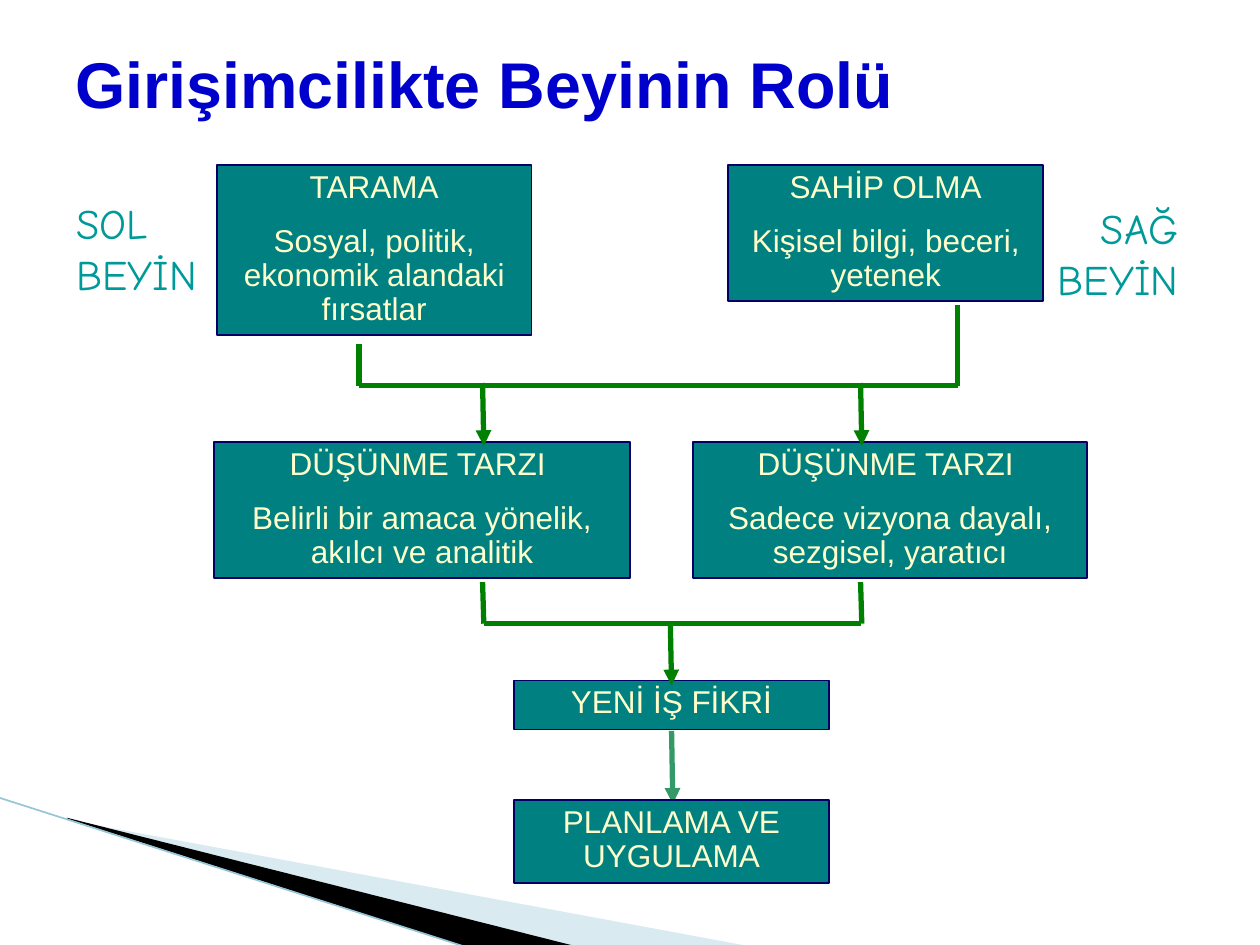
import pptx
import pptx.dml.color
import pptx.enum.shapes
import pptx.enum.text
import pptx.oxml
import pptx.oxml.ns
import pptx.util
from pptx.util import Inches

COLORS = {
    "title": "0000CC", "box": "008080", "box_edge": "000066",
    "box_text": "FFFFCC", "side": "009999", "flow": "008000",
    "plan_flow": "339966", "pale_wave": "A0CBDC", "dark_wave": "000000",
    "wave_edge": "97C5D8",
}
ALIGN = pptx.enum.text.PP_ALIGN

BOXES = [
    (1.72, 1.31, 2.5, 1.35, ["TARAMA", "Sosyal, politik, ekonomik alandaki fırsatlar"]),
    (5.78, 1.31, 2.5, 1.08, ["SAHİP OLMA", "Kişisel bilgi, beceri, yetenek"]),
    (1.7, 3.51, 3.3, 1.08, ["DÜŞÜNME TARZI ", "Belirli bir amaca yönelik, akılcı ve analitik"]),
    (5.5, 3.51, 3.13, 1.08, ["DÜŞÜNME TARZI ", "Sadece vizyona dayalı, sezgisel, yaratıcı"]),
    (4.08, 5.4, 2.5, 0.39, ["YENİ İŞ FİKRİ"]),
    (4.08, 6.35, 2.5, 0.66, ["PLANLAMA VE UYGULAMA"]),
]
BRANCHES = [
    ((2.85, 2.73), (2.85, 3.06)),
    ((7.6, 2.42), (7.6, 3.06)),
    ((2.85, 3.06), (7.6, 3.06)),
    ((3.83, 4.62), (3.84, 4.95)),
    ((6.83, 4.62), (6.84, 4.95)),
    ((3.84, 4.95), (6.83, 4.95)),
]
ARROWS = [
    ((3.83, 3.04), (3.84, 3.54)),
    ((6.83, 3.04), (6.84, 3.54)),
    ((5.32, 4.93), (5.33, 5.44)),
]


def rgb(name):
    return pptx.dml.color.RGBColor.from_string(COLORS[name])


def sub(parent, tag, **attributes):
    child = pptx.oxml.ns.qn(tag)
    element = parent.makeelement(child, attributes)
    parent.append(element)


def write(shape, paragraphs, font, paragraph_format):
    """Fill a shape with paragraphs that share one font and paragraph format."""
    frame = shape.text_frame
    frame.word_wrap = True
    frame.vertical_anchor = pptx.enum.text.MSO_ANCHOR.TOP
    frame.text = "\n".join(paragraphs)
    for paragraph in frame.paragraphs:
        for key, value in paragraph_format.items():
            setattr(paragraph, key, value)
        run_font = paragraph.runs[0].font
        run_font.color.rgb = rgb(font["color"])
        for key in ("name", "size", "bold"):
            setattr(run_font, key, font.get(key))


def add_label(slide, left, top, width, height, text, font, **paragraph_format):
    label = slide.shapes.add_textbox(*map(Inches, (left, top, width, height)))
    write(label, [text], font, paragraph_format)


def add_box(slide, left, top, width, height, paragraphs):
    box = slide.shapes.add_shape(
        pptx.enum.shapes.MSO_SHAPE.RECTANGLE,
        *map(Inches, (left, top, width, height)))
    box.shadow.inherit = False
    box.fill.solid()
    box.fill.fore_color.rgb = rgb("box")
    box.line.color.rgb = rgb("box_edge")
    box.line.width = pptx.util.Pt(1)
    font = {"name": "Arial", "size": pptx.util.Pt(18), "color": "box_text"}
    write(box, paragraphs, font, {
        "alignment": ALIGN.CENTER, "line_spacing": 0.9,
        "space_before": pptx.util.Pt(11.2)})


def add_line(slide, start, end, color="flow", width=3, arrow=False):
    line = slide.shapes.add_connector(
        pptx.enum.shapes.MSO_CONNECTOR.STRAIGHT, *map(Inches, start + end))
    line.line.color.rgb = rgb(color)
    line.line.width = pptx.util.Pt(width)
    if arrow:
        sub(line.line._get_or_add_ln(), "a:tailEnd", type="triangle")
    sub(line._element.spPr, "a:effectLst")


def add_wave(slide, points, color, opacity=100):
    corners = [tuple(map(Inches, point)) for point in points]
    builder = slide.shapes.build_freeform(*corners[0])
    builder.add_line_segments(corners[1:])
    wave = builder.convert_to_shape()
    wave.shadow.inherit = False
    wave.line.fill.background()
    wave.fill.solid()
    wave.fill.fore_color.rgb = rgb(color)
    if opacity < 100:
        fill_color = wave._element.spPr.find(".//" + pptx.oxml.ns.qn("a:srgbClr"))
        sub(fill_color, "a:alpha", val=str(opacity * 1000))


def main():
    deck = pptx.Presentation()
    deck.slide_width, deck.slide_height = Inches(10), Inches(7.5)
    slide = deck.slides.add_slide(deck.slide_layouts[6])

    add_wave(slide, [(0.55, 6.51), (5.95, 7.51), (4.56, 7.51), (0.55, 6.5)],
             "pale_wave", opacity=40)
    add_wave(slide, [(0.53, 6.49), (4.57, 7.51), (3.72, 7.52), (0.54, 6.5)],
             "dark_wave")
    add_line(slide, (-0.01, 6.33), (3.71, 7.52), "wave_edge", 0.95)

    title_font = {"name": "Arial", "size": pptx.util.Pt(36.9), "bold": True,
                  "color": "title"}
    add_label(slide, 0.5, 0.3, 9, 1.25, "Girişimcilikte Beyinin Rolü", title_font)

    add_line(slide, (5.33, 5.8), (5.34, 6.38), "plan_flow", arrow=True)
    for box in BOXES:
        add_box(slide, *box)
    for start, end in BRANCHES:
        add_line(slide, start, end)
    for start, end in ARROWS:
        add_line(slide, start, end, arrow=True)

    side_font = {"name": "Comic Neue", "size": pptx.util.Pt(24), "color": "side"}
    for left, top, text, alignment in [
            (0.51, 1.52, "SOL BEYİN", ALIGN.LEFT),
            (7.8, 1.56, "SAĞ BEYİN", ALIGN.RIGHT)]:
        add_label(slide, left, top, 1.65, 0.9, text, side_font,
                  alignment=alignment, space_before=pptx.util.Pt(15))

    deck.save("out.pptx")


if __name__ == "__main__":
    main()
